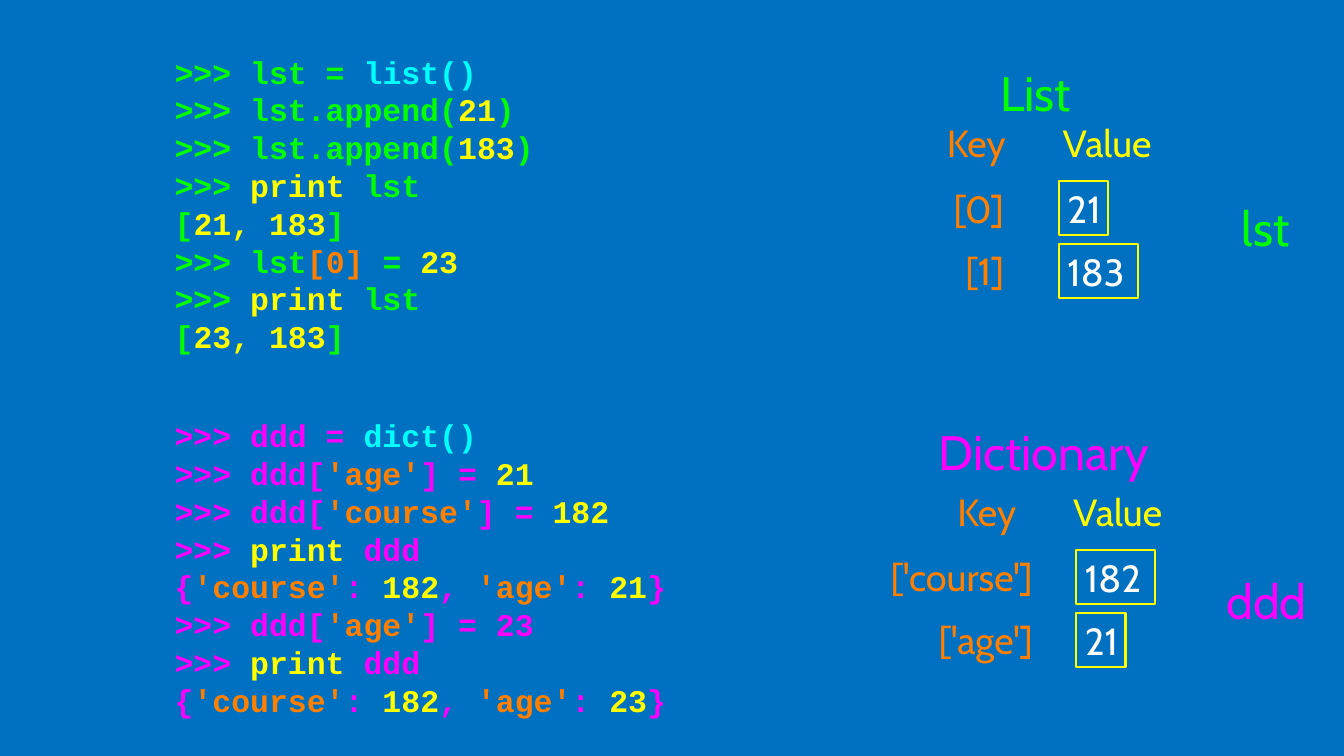
from pptx import Presentation
from pptx.dml.color import RGBColor
from pptx.enum import shapes, text
from pptx.util import Inches, Pt

BLUE = RGBColor(0x00, 0x70, 0xC0)
GREEN = RGBColor(0x00, 0xFF, 0x00)
MAGENTA = RGBColor(0xFF, 0x00, 0xFF)
CYAN = RGBColor(0x00, 0xFF, 0xFF)
YELLOW = RGBColor(0xFF, 0xFF, 0x00)
ORANGE = RGBColor(0xFF, 0x7F, 0x00)
WHITE = RGBColor(0xFF, 0xFF, 0xFF)

LEFT, CENTER, RIGHT = text.PP_ALIGN.LEFT, text.PP_ALIGN.CENTER, text.PP_ALIGN.RIGHT
ROW_PITCH = 0.83

# Each line is a list of pieces: plain text takes the session's own colour.
PRINT = ("print", YELLOW)
AGE = ("'age'", ORANGE)
COURSE = ("'course'", ORANGE)


def number(digits):
    return (digits, YELLOW)


def dict_output(age):
    return ["{", COURSE, ": ", number("182"), ", ", AGE, ": ", number(age), "}"]


LIST_SESSION = [
    [">>> lst = ", ("list()", CYAN)],
    [">>> lst.append(", number("21"), ")"],
    [">>> lst.append(", number("183"), ")"],
    [">>> ", PRINT, " lst"],
    ["[", number("21, 183"), "]"],
    [">>> lst", ("[0]", ORANGE), " = ", number("23")],
    [">>> ", PRINT, " lst"],
    ["[", number("23, 183"), "]"],
]
DICT_SESSION = [
    [">>> ddd = ", ("dict()", CYAN)],
    [">>> ddd[", AGE, "] = ", number("21")],
    [">>> ddd[", COURSE, "] = ", number("182")],
    [">>> ", PRINT, " ddd"],
    dict_output("21"),
    [">>> ddd[", AGE, "] = 23"],
    [">>> ", PRINT, " ddd"],
    dict_output("23"),
]


class CodeSlide:
    label_font = "Cabin"
    code_font = "Courier New"
    label_size = Pt(36)
    title_size = Pt(46)
    code_size = Pt(30)
    code_leading = Pt(36)

    def __init__(self, deck):
        self.slide = deck.slides.add_slide(deck.slide_layouts[6])
        fill = self.slide.background.fill
        fill.solid()
        fill.fore_color.rgb = BLUE

    def frame(self, shape):
        """Clear the margins and centre the text vertically."""
        frame = shape.text_frame
        frame.margin_left = frame.margin_right = 0
        frame.margin_top = frame.margin_bottom = 0
        frame.vertical_anchor = text.MSO_ANCHOR.MIDDLE
        frame.word_wrap = False
        return frame

    def set_words(self, shape, words, color, size, align):
        paragraph = self.frame(shape).paragraphs[0]
        paragraph.text = words
        paragraph.alignment = align
        paragraph.font.name = self.label_font
        paragraph.font.size = size
        paragraph.font.color.rgb = color

    def label(self, words, left, top, width, color, align=CENTER):
        box = self.slide.shapes.add_textbox(
            Inches(left), Inches(top), Inches(width), Inches(0.68))
        self.set_words(box, words, color, self.label_size, align)

    def title(self, words, left, top, width, color):
        box = self.slide.shapes.add_textbox(
            Inches(left), Inches(top), Inches(width), Inches(0.85))
        self.set_words(box, words, color, self.title_size, CENTER)

    def value(self, digits, left, top):
        """Outlined cell whose width follows the number of digits."""
        cell = self.slide.shapes.add_shape(
            shapes.MSO_SHAPE.RECTANGLE, Inches(left), Inches(top),
            Inches(0.39 * len(digits) - 0.13), Inches(0.71))
        cell.shadow.inherit = False
        cell.fill.background()
        cell.line.color.rgb = YELLOW
        cell.line.width = Pt(2)
        self.set_words(cell, " " + digits, WHITE, self.label_size, LEFT)

    def session(self, lines, top, width, color):
        box = self.slide.shapes.add_textbox(
            Inches(2.31), Inches(top), Inches(width), Inches(4.31))
        frame = self.frame(box)
        frame.word_wrap = True
        frame.margin_top = Inches(0.1)
        for index, pieces in enumerate(lines):
            paragraph = frame.add_paragraph() if index else frame.paragraphs[0]
            paragraph.line_spacing = self.code_leading
            paragraph.font.name = self.code_font
            paragraph.font.size = self.code_size
            paragraph.font.bold = True
            for piece in pieces:
                words, tint = (piece, color) if isinstance(piece, str) else piece
                run = paragraph.add_run()
                run.text = words
                run.font.color.rgb = tint

    def headings(self, left, top):
        self.label("Key", left, top, 0.87, ORANGE)
        self.label("Value", left + 1.56, top, 1.21, YELLOW)

    def entries(self, rows, key_right, value_left, top):
        """Rows of (key, key width, value), keys flush right."""
        for index, (key, width, digits) in enumerate(rows):
            y = top + index * ROW_PITCH
            self.label(key, key_right - width, y + 0.01, width, ORANGE, RIGHT)
            self.value(digits, value_left, y)


def main():
    deck = Presentation()
    deck.slide_width, deck.slide_height = Inches(17.78), Inches(10)
    page = CodeSlide(deck)

    page.session(LIST_SESSION, 0.49, 6.22, GREEN)
    page.title("List", 13.18, 0.79, 1.04, GREEN)
    page.headings(12.48, 1.54)
    page.entries([("[0]", 0.71, "21"), ("[1]", 0.71, "183")], 13.28, 14.01, 2.4)
    page.title("lst", 16.39, 2.58, 0.71, GREEN)

    page.session(DICT_SESSION, 5.3, 6.8, MAGENTA)
    page.title("Dictionary", 12.37, 5.54, 2.87, MAGENTA)
    page.headings(12.62, 6.42)
    page.entries([("['course']", 2.02, "182"), ("['age']", 1.31, "21")],
                 13.66, 14.24, 7.28)
    page.title("ddd", 16.21, 7.51, 1.09, MAGENTA)

    deck.save("out.pptx")


if __name__ == "__main__":
    main()
